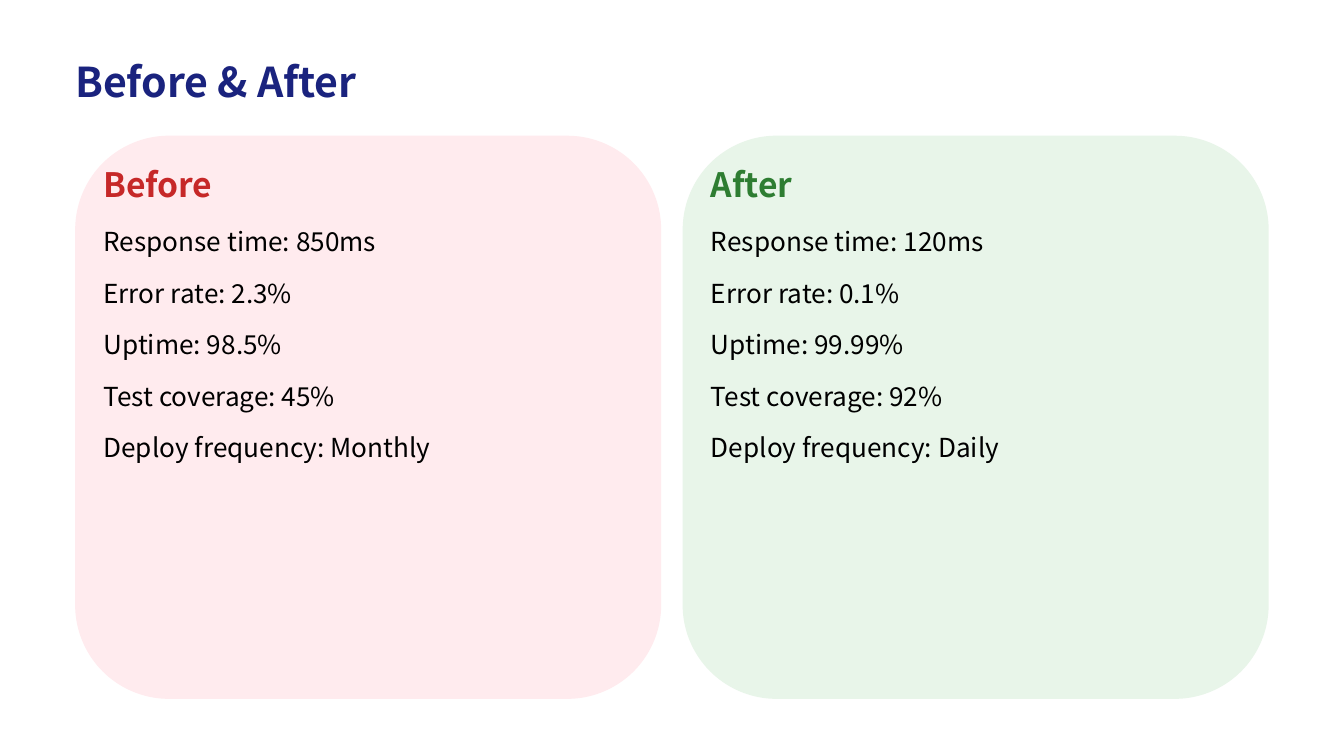
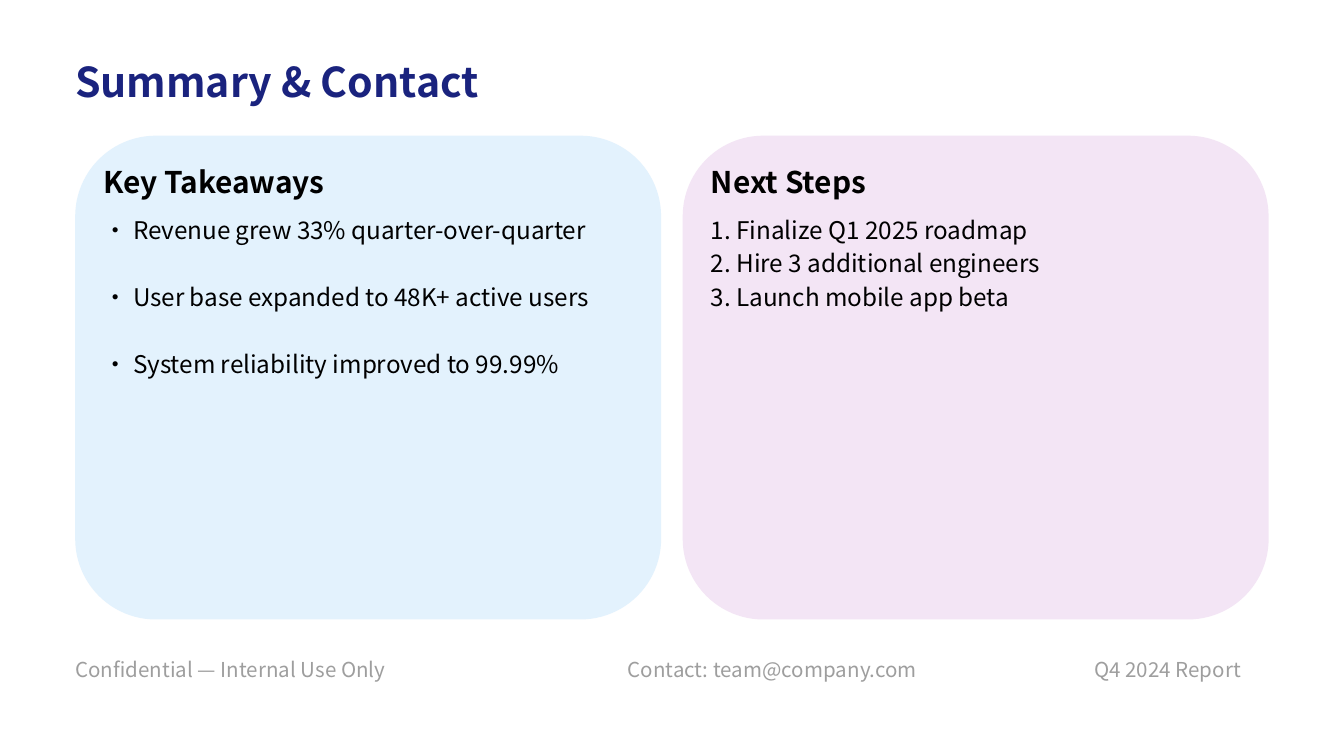
from pptx import Presentation
from pptx.dml.color import RGBColor
from pptx.enum.shapes import MSO_SHAPE
from pptx.util import Inches, Pt

ROUNDED = MSO_SHAPE.ROUNDED_RECTANGLE
FONT = "Noto Sans CJK SC"

WHITE = RGBColor(0xFF, 0xFF, 0xFF)
BLACK = RGBColor(0x00, 0x00, 0x00)
NAVY = RGBColor(0x1A, 0x23, 0x7E)
GRAY = RGBColor(0x9E, 0x9E, 0x9E)
RED = RGBColor(0xC6, 0x28, 0x28)
GREEN = RGBColor(0x2E, 0x7D, 0x32)
PALE_RED = RGBColor(0xFF, 0xEB, 0xEE)
PALE_GREEN = RGBColor(0xE8, 0xF5, 0xE9)
PALE_BLUE = RGBColor(0xE3, 0xF2, 0xFD)
PALE_PURPLE = RGBColor(0xF3, 0xE5, 0xF5)

MARGIN = 0.56
PANEL_TOP = 1.01
PANEL_WIDTH = 4.36
PANEL_LEFTS = (MARGIN, 5.08)
PANEL_PADDING = 0.21

BEFORE_METRICS = (
    "Response time: 850ms",
    "Error rate: 2.3%",
    "Uptime: 98.5%",
    "Test coverage: 45%",
    "Deploy frequency: Monthly",
)
AFTER_METRICS = (
    "Response time: 120ms",
    "Error rate: 0.1%",
    "Uptime: 99.99%",
    "Test coverage: 92%",
    "Deploy frequency: Daily",
)
TAKEAWAYS = (
    "• Revenue grew 33% quarter-over-quarter",
    "• User base expanded to 48K+ active users",
    "• System reliability improved to 99.99%",
)
NEXT_STEPS = (
    "1. Finalize Q1 2025 roadmap",
    "2. Hire 3 additional engineers",
    "3. Launch mobile app beta",
)
FOOTER = (
    ("Confidential — Internal Use Only", MARGIN, 2.96),
    ("Contact: team@company.com", 4.67, 2.32),
    ("Q4 2024 Report", 8.14, 1.31),
)


def add_text(shapes, text, left, top, width, height, size, color=BLACK, bold=False):
    """Add a text box without margins, holding one styled paragraph."""
    box = shapes.add_textbox(Inches(left), Inches(top), Inches(width), Inches(height))
    frame = box.text_frame
    frame.margin_left = frame.margin_right = 0
    frame.margin_top = frame.margin_bottom = 0
    frame.word_wrap = True
    frame.text = text
    font = frame.paragraphs[0].runs[0].font
    font.name = FONT
    font.size = Pt(size)
    font.bold = bold
    font.color.rgb = color


def add_page(deck, title):
    """Add a white page with the shared title style."""
    page = deck.slides.add_slide(deck.slide_layouts[6])
    page.background.fill.solid()
    page.background.fill.fore_color.rgb = WHITE
    add_text(page.shapes, title, MARGIN, 0.42, 8.89, 0.43, 22, NAVY, True)
    return page


def add_panel(page, left, height, fill, heading, heading_size, heading_color,
              items, item_size, first_top, last_top, item_height):
    """Add a rounded panel with a heading and evenly spaced items."""
    shapes = page.shapes.add_group_shape().shapes
    panel = shapes.add_shape(ROUNDED, Inches(left), Inches(PANEL_TOP),
                             Inches(PANEL_WIDTH), Inches(height))
    panel.shadow.inherit = False
    panel.fill.solid()
    panel.fill.fore_color.rgb = fill
    panel.line.fill.background()
    text_left = left + PANEL_PADDING
    text_width = PANEL_WIDTH - 2 * PANEL_PADDING
    add_text(shapes, heading, text_left, PANEL_TOP + PANEL_PADDING, text_width,
             heading_size * 0.02, heading_size, heading_color, True)
    pitch = (last_top - first_top) / (len(items) - 1)
    for index, item in enumerate(items):
        add_text(shapes, item, text_left, first_top + index * pitch,
                 text_width, item_height, item_size)


def add_footer(page):
    """Add the grey footer notes."""
    shapes = page.shapes.add_group_shape().shapes
    for text, left, width in FOOTER:
        add_text(shapes, text, left, 4.89, width, 0.22, 11, GRAY)


def add_comparison(deck):
    """Build the page that compares metrics before and after."""
    page = add_page(deck, "Before & After")
    panels = (
        (PALE_RED, "Before", RED, BEFORE_METRICS),
        (PALE_GREEN, "After", GREEN, AFTER_METRICS),
    )
    for left, (fill, heading, color, metrics) in zip(PANEL_LEFTS, panels):
        add_panel(page, left, 4.19, fill, heading, 18, color,
                  metrics, 14, 1.68, 3.21, 0.28)


def add_summary(deck):
    """Build the page with takeaways, next steps and contact."""
    page = add_page(deck, "Summary & Contact")
    panels = (
        (PALE_BLUE, "Key Takeaways", TAKEAWAYS, 2.6, 0.51),
        (PALE_PURPLE, "Next Steps", NEXT_STEPS, 2.1, 0.26),
    )
    for left, (fill, heading, items, last_top, height) in zip(PANEL_LEFTS, panels):
        add_panel(page, left, 3.6, fill, heading, 16, BLACK,
                  items, 13, 1.6, last_top, height)
    add_footer(page)


def main():
    """Build and save the deck."""
    deck = Presentation()
    deck.slide_width = Inches(10)
    deck.slide_height = Inches(10 * 9 / 16)
    add_comparison(deck)
    add_summary(deck)
    deck.save("out.pptx")


if __name__ == "__main__":
    main()
